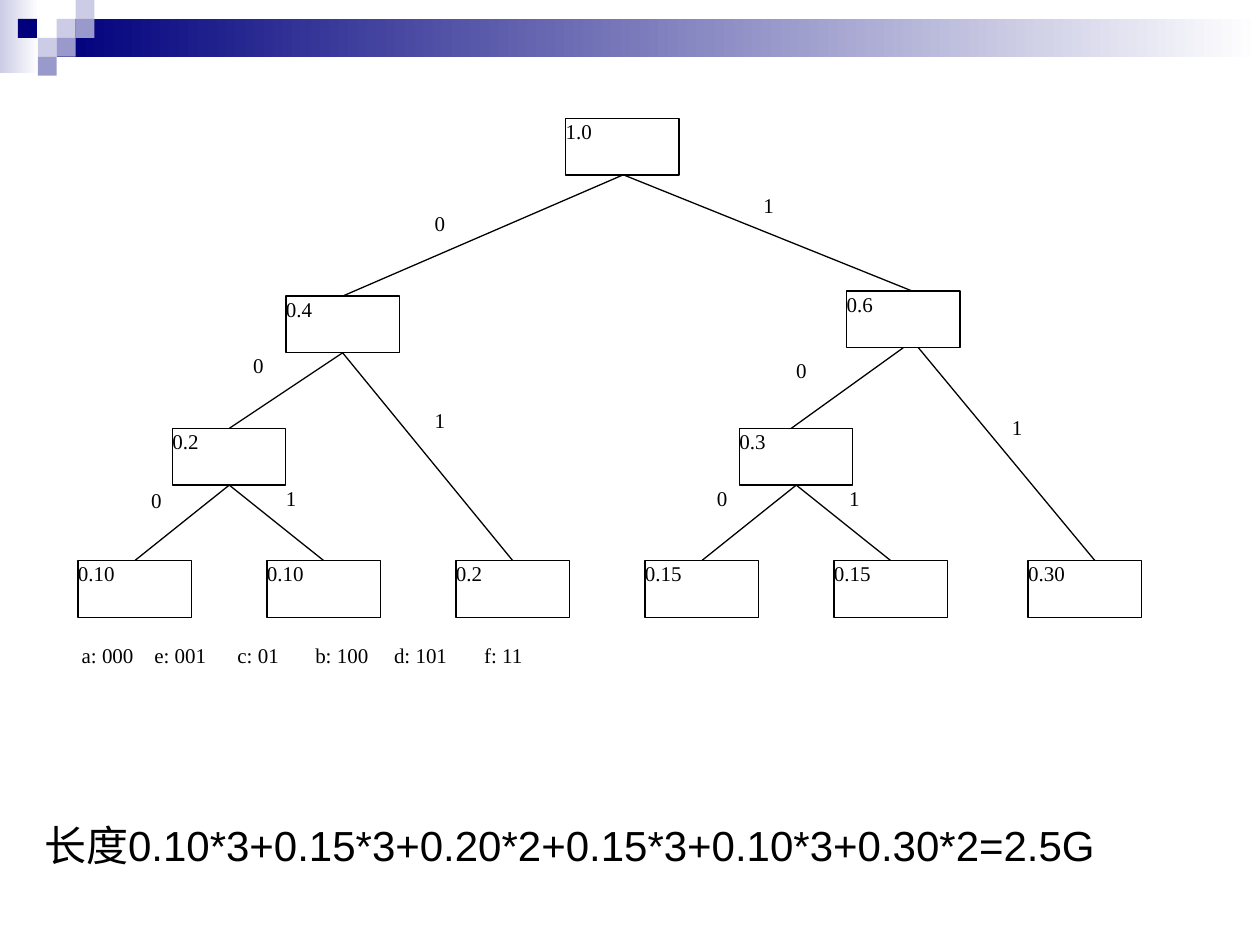
from dataclasses import dataclass
from typing import NamedTuple

from lxml import etree
from pptx import Presentation
from pptx import util as u
from pptx.dml.color import RGBColor
from pptx.enum import shapes as es, text as et
from pptx.oxml.ns import qn


@dataclass(frozen=True)
class Theme:
    ink: str = "000000"
    paper: str = "FFFFFF"
    navy: str = "00007D"
    mid: str = "9999CC"
    pale: str = "CCCCE6"
    serif: str = "Times New Roman"
    sans: str = "Arial"
    small: float = 12
    large: float = 24
    line: float = 0.75


class Node(NamedTuple):
    label: str
    x: float
    y: float


class Edge(NamedTuple):
    top: str
    low: str
    bit: str
    x: float  # place of the bit label
    y: float
    out: float = 0  # shift of each end from the middle of its node
    into: float = 0


T = Theme()
WIDE, HIGH = 64.8, 32.4
CELL = 10.8
LEAF = 320.4
STEP = 108

NODES = {
    "root": Node("1.0", 323.3, 67.7),
    "left": Node("0.4", 163.4, 169.2),
    "right": Node("0.6", 483.8, 166.3),
    "ae": Node("0.2", 98.6, 244.8),
    "bd": Node("0.3", 422.6, 244.8),
    "f": Node("0.30", 587.5, LEAF),
}
LEAVES = (("a", "0.10"), ("e", "0.10"), ("c", "0.2"), ("b", "0.15"), ("d", "0.15"))
for i, (key, label) in enumerate(LEAVES):
    NODES[key] = Node(label, 44.6 + STEP * i, LEAF)

EDGES = (
    Edge("root", "left", "0", 248.4, 120.2),
    Edge("root", "right", "1", 436.3, 110.2, 1, 5),
    Edge("left", "ae", "0", 144.7, 201.6),
    Edge("left", "c", "1", 248.4, 232.6),
    Edge("right", "bd", "0", 455, 204.5, 0, -2.9),
    Edge("right", "f", "1", 578.2, 236.9, 8.6, 5.8),
    Edge("ae", "a", "0", 86.4, 278.6),
    Edge("ae", "e", "1", 163.4, 277.2),
    Edge("bd", "b", "0", 409.7, 277.2),
    Edge("bd", "d", "1", 485.3, 277.2),
)
CODES = ("a: 000", "e: 001", "c: 01", "b: 100", "d: 101", "f: 11")
STOPS = (41.5, 89, 133.5, 178.5, 230)

# Header squares: column, row, colour
CELLS = (
    (3, 1, T.pale), (4, 0, T.pale), (4, 1, T.mid), (2, 2, T.pale),
    (0.95, 1, T.navy), (3, 2, T.mid), (2, 3, T.mid),
)


def rgb(code: str) -> RGBColor:
    return RGBColor.from_string(code)


def write(shape, words: str, *, size: float = T.small, font: str = T.serif,
          align=et.PP_ALIGN.JUSTIFY, anchor=et.MSO_ANCHOR.TOP,
          pad: tuple = (0, 0, 0, 0), tabs: tuple = ()) -> None:
    frame = shape.text_frame
    frame.word_wrap = True
    frame.auto_size = et.MSO_AUTO_SIZE.NONE
    frame.vertical_anchor = anchor
    (frame.margin_left, frame.margin_top,
     frame.margin_right, frame.margin_bottom) = map(u.Pt, pad)
    para = frame.paragraphs[0]
    para.alignment = align
    if tabs:
        stops = etree.SubElement(para._p.get_or_add_pPr(), qn("a:tabLst"))
        for pos in tabs:
            etree.SubElement(stops, qn("a:tab"), pos=str(u.Pt(pos)), algn="l")
    run = para.add_run()
    run.text = words
    run.font.size = u.Pt(size)
    run.font.name = font
    run.font.color.rgb = rgb(T.ink)


def rect(slide, x: float, y: float, w: float, h: float, *colors: str):
    box = slide.shapes.add_shape(es.MSO_SHAPE.RECTANGLE, *map(u.Pt, (x, y, w, h)))
    box.shadow.inherit = False
    box.line.fill.background()
    if len(colors) == 1:
        box.fill.solid()
        box.fill.fore_color.rgb = rgb(colors[0])
    else:
        box.fill.gradient()
        box.fill.gradient_angle = 0
        for stop, color in zip(box.fill.gradient_stops, colors):
            stop.color.rgb = rgb(color)
    return box


def note(slide, words: str, x: float, y: float, w: float, h: float, **form) -> None:
    write(slide.shapes.add_textbox(*map(u.Pt, (x, y, w, h))), words, **form)


def draw_node(slide, node: Node) -> None:
    box = rect(slide, node.x, node.y, WIDE, HIGH, T.paper)
    box.line.color.rgb = rgb(T.ink)
    box.line.width = u.Pt(T.line)
    write(box, node.label)


def draw_edge(slide, edge: Edge) -> None:
    top, low = NODES[edge.top], NODES[edge.low]
    ends = (top.x + WIDE / 2 + edge.out, top.y + HIGH,
            low.x + WIDE / 2 + edge.into, low.y)
    line = slide.shapes.add_connector(es.MSO_CONNECTOR.STRAIGHT, *map(u.Pt, ends))
    line.line.color.rgb = rgb(T.ink)
    line.line.width = u.Pt(T.line)
    etree.SubElement(line._element.spPr, qn("a:effectLst"))
    note(slide, edge.bit, edge.x, edge.y, WIDE, HIGH)


def main() -> None:
    deck = Presentation()
    deck.slide_width, deck.slide_height = u.Pt(720), u.Pt(540)
    slide = deck.slides.add_slide(deck.slide_layouts[5])

    # Header band and squares
    rect(slide, 0, 0, 22.3, 41.8, T.pale, T.paper)
    rect(slide, 3 * CELL, CELL, 720 - 3 * CELL, 2 * CELL, T.navy, T.paper)
    for col, row, color in CELLS:
        rect(slide, col * CELL, row * CELL, CELL, CELL, color)

    # Title with the total length
    title = slide.shapes.title
    title.left, title.top, title.width, title.height = map(u.Pt, (18, 437.8, 648, 72))
    write(title, "长度0.10*3+0.15*3+0.20*2+0.15*3+0.10*3+0.30*2=2.5G",
          size=T.large, font=T.sans, align=et.PP_ALIGN.LEFT,
          anchor=et.MSO_ANCHOR.MIDDLE, pad=(7.2, 21.6, 7.2, 3.6))

    # Code tree
    for edge in EDGES:
        draw_edge(slide, edge)
    for node in NODES.values():
        draw_node(slide, node)

    # Code words
    note(slide, "\t".join(CODES), 39.6, 363.6, 652.3, 41,
         pad=(7.2, 3.6, 7.2, 3.6), tabs=STOPS)

    deck.save("out.pptx")


if __name__ == "__main__":
    main()
